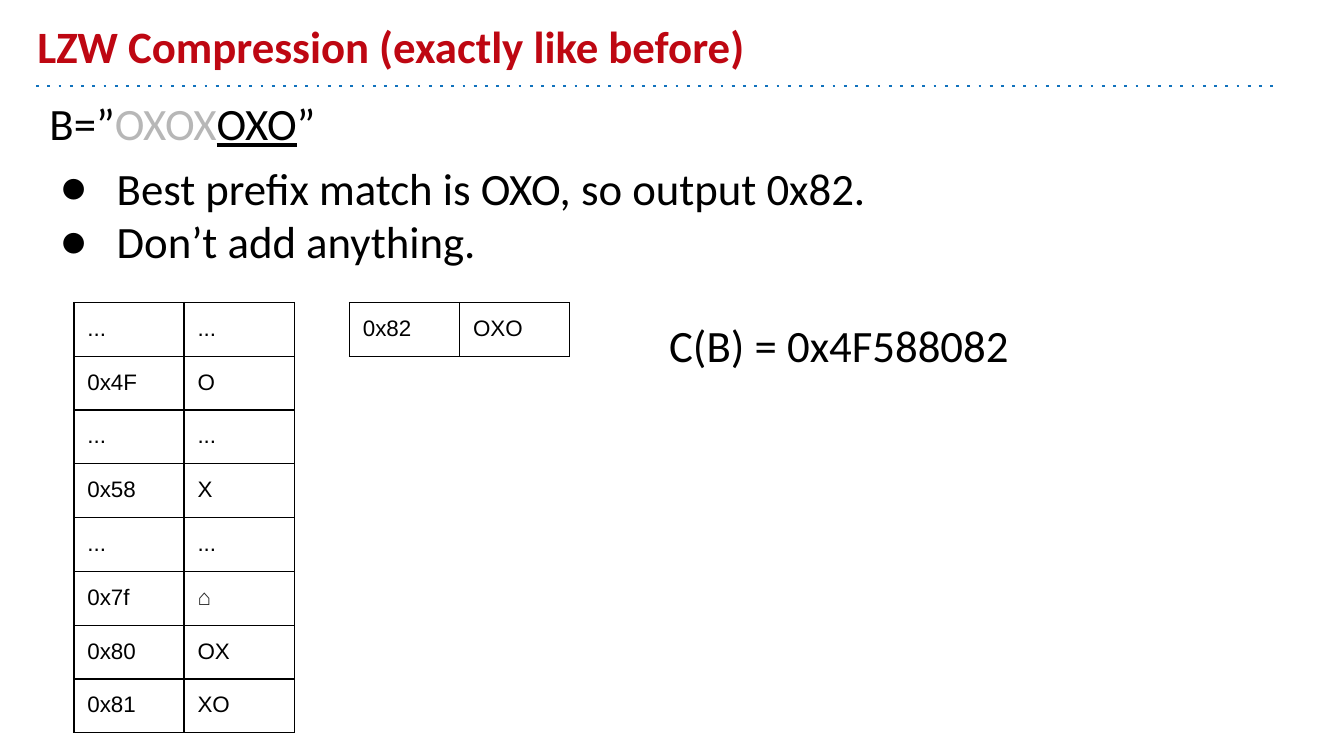
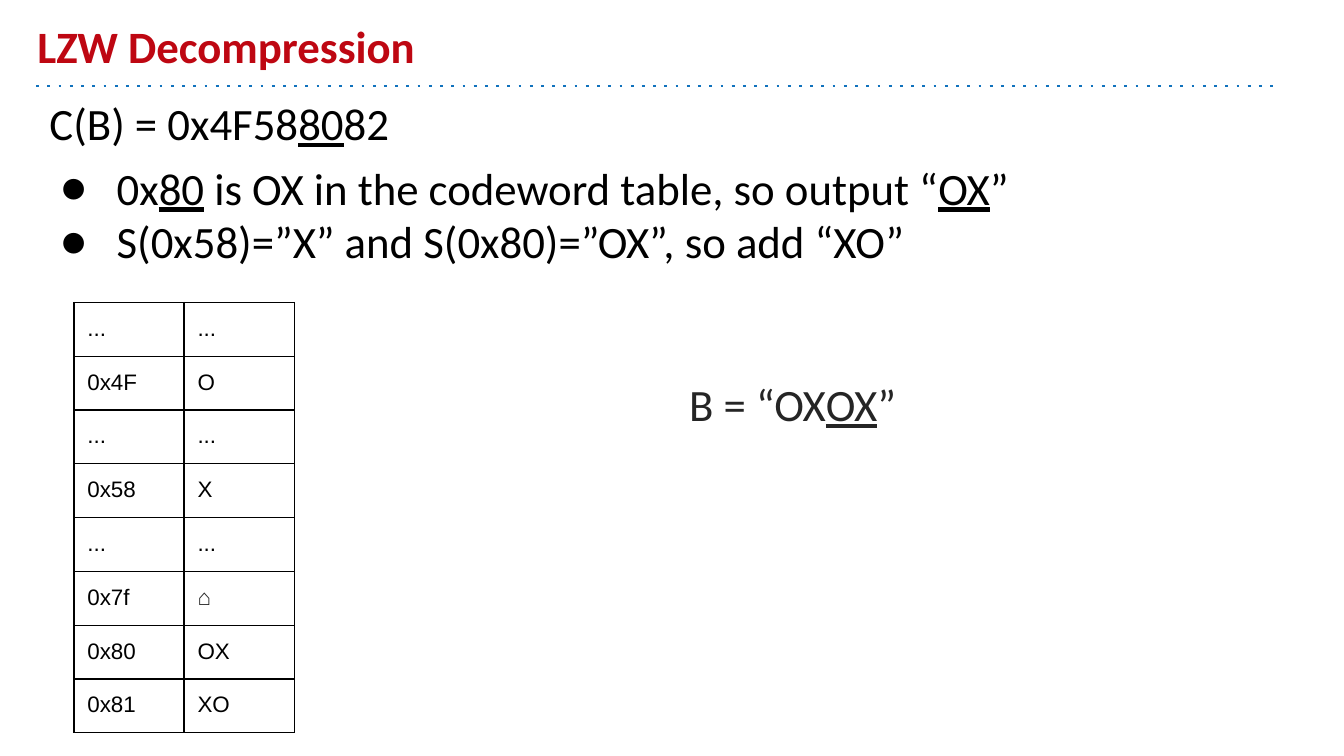
from dataclasses import dataclass

from lxml.etree import SubElement
from pptx import Presentation
from pptx.dml.color import RGBColor
from pptx.enum.shapes import MSO_CONNECTOR
from pptx.enum.text import MSO_ANCHOR
from pptx.oxml.ns import qn
from pptx.util import Inches, Pt


@dataclass(frozen=True)
class Theme:
    title: str = "BE0712"
    rule: str = "1072BD"
    text: str = "000000"
    soft: str = "252525"
    faded: str = "B7B7B7"
    font: str = "Calibri"
    table_font: str = "Arial"
    size: int = 24
    table_size: int = 12


T = Theme()
INSET = Inches(0.1)
UNDER = {"underline": True}

CODEWORDS = [
    ("...", "..."),
    ("0x4F", "O"),
    ("...", "..."),
    ("0x58", "X"),
    ("...", "..."),
    ("0x7f", "⌂"),
    ("0x80", "OX"),
    ("0x81", "XO"),
]
ROW_HEIGHTS = {0: 0.11, 3: 0.4}  # all other rows are 0.37


def add_run(p, text, *, font=T.font, size=T.size, color=T.text,
            bold=False, underline=False):
    r = p.add_run()
    r.text = text
    r.font.name = font
    r.font.size = Pt(size)
    r.font.color.rgb = RGBColor.from_string(color)
    r.font.bold = bold
    r.font.underline = underline


def add_runs(p, parts, **base):
    """Each part is plain text or a pair of text and its own format."""
    for part in parts:
        text, own = (part, {}) if isinstance(part, str) else part
        add_run(p, text, **{**base, **own})


def add_box(s, x, y, w, h, anchor):
    box = s.shapes.add_textbox(Inches(x), Inches(y), Inches(w), Inches(h))
    tf = box.text_frame
    tf.word_wrap = True
    tf.vertical_anchor = anchor
    tf.margin_left = tf.margin_right = INSET
    tf.margin_top = tf.margin_bottom = INSET
    return tf


def add_line_of_text(s, x, y, w, h, parts, anchor=MSO_ANCHOR.MIDDLE, **base):
    tf = add_box(s, x, y, w, h, anchor)
    add_runs(tf.paragraphs[0], parts, **base)


def add_bullet(p):
    pPr = p._p.get_or_add_pPr()
    pPr.set("marL", str(Inches(0.5)))
    pPr.set("indent", str(Inches(-0.42)))
    color = SubElement(pPr, qn("a:buClr"))
    SubElement(color, qn("a:srgbClr")).set("val", T.text)
    SubElement(pPr, qn("a:buSzPts")).set("val", str(T.size * 100))
    SubElement(pPr, qn("a:buFont")).set("typeface", T.font)
    SubElement(pPr, qn("a:buChar")).set("char", "●")


def add_body(s, lead, bullets):
    tf = add_box(s, 0.27, 0.61, 9.23, 4.54, MSO_ANCHOR.TOP)
    add_runs(tf.paragraphs[0], lead)
    for i, parts in enumerate(bullets):
        p = tf.add_paragraph()
        add_bullet(p)
        p.space_before = Pt(0 if i else 6)
        add_runs(p, parts)


def add_borders(cell):
    tcPr = cell._tc.get_or_add_tcPr()
    for side in ("lnL", "lnR", "lnT", "lnB"):
        ln = SubElement(tcPr, qn(f"a:{side}"))
        ln.set("w", str(Pt(0.75)))
        fill = SubElement(ln, qn("a:solidFill"))
        SubElement(fill, qn("a:srgbClr")).set("val", T.text)


def add_codewords(s, x, rows):
    side = Inches(3.28)
    frame = s.shapes.add_table(len(rows), 2, Inches(x), Inches(2.25),
                               side, side)
    table = frame.table
    table.first_row = table.horz_banding = False
    for col in table.columns:
        col.width = Inches(0.82)
    for i, (row, values) in enumerate(zip(table.rows, rows)):
        row.height = Inches(ROW_HEIGHTS.get(i, 0.37))
        for cell, value in zip(row.cells, values):
            add_borders(cell)
            cell.fill.background()
            cell.margin_left = cell.margin_right = INSET
            cell.margin_top = cell.margin_bottom = INSET
            add_run(cell.text_frame.paragraphs[0], value,
                    font=T.table_font, size=T.table_size,
                    color=T.soft if value == "⌂" else T.text)
    # Row and column sizes reset the frame, so set it last
    frame.width = frame.height = side


def add_slide(prs, title):
    s = prs.slides.add_slide(prs.slide_layouts[6])
    # Dotted rule under the title
    rule = s.shapes.add_connector(MSO_CONNECTOR.STRAIGHT, Inches(0.27),
                                  Inches(0.64), Inches(9.5), Inches(0.64))
    rule.line.color.rgb = RGBColor.from_string(T.rule)
    rule.line.width = Pt(1.5)
    spPr = rule._element.spPr
    SubElement(spPr.find(qn("a:ln")), qn("a:prstDash")).set("val", "dot")
    SubElement(spPr, qn("a:effectLst"))
    add_line_of_text(s, 0.18, 0.1, 9, 0.54, [title], MSO_ANCHOR.BOTTOM,
                     color=T.title, bold=True)
    return s


def main():
    prs = Presentation()
    prs.slide_width = Inches(10)
    prs.slide_height = prs.slide_width * 9 // 16

    # Compression
    s = add_slide(prs, "LZW Compression (exactly like before)")
    add_body(s, ["B=”", ("OXOX", {"color": T.faded}), ("OXO", UNDER), "”"],
             [["Best prefix match is OXO, so output 0x82."],
              ["Don’t add anything."]])
    add_codewords(s, 0.55, CODEWORDS)
    add_line_of_text(s, 4.88, 2.35, 3.28, 0.43, ["C(B) = 0x4F588082"])
    add_codewords(s, 2.6, [("0x82", "OXO")])

    # Decompression
    s = add_slide(prs, "LZW Decompression")
    add_body(s, ["C(B) = 0x4F58", ("80", UNDER), "82"],
             [["0x", ("80", UNDER),
               " is OX in the codeword table, so output “",
               ("OX", UNDER), "”"],
              ["S(0x58)=”X” and S(0x80)=”OX”, so add “XO”"]])
    add_codewords(s, 0.55, CODEWORDS)
    add_line_of_text(s, 5.03, 2.59, 3.07, 0.82,
                     ["B = “OX", ("OX", UNDER), "”"], color=T.soft)

    prs.save("out.pptx")


if __name__ == "__main__":
    main()
